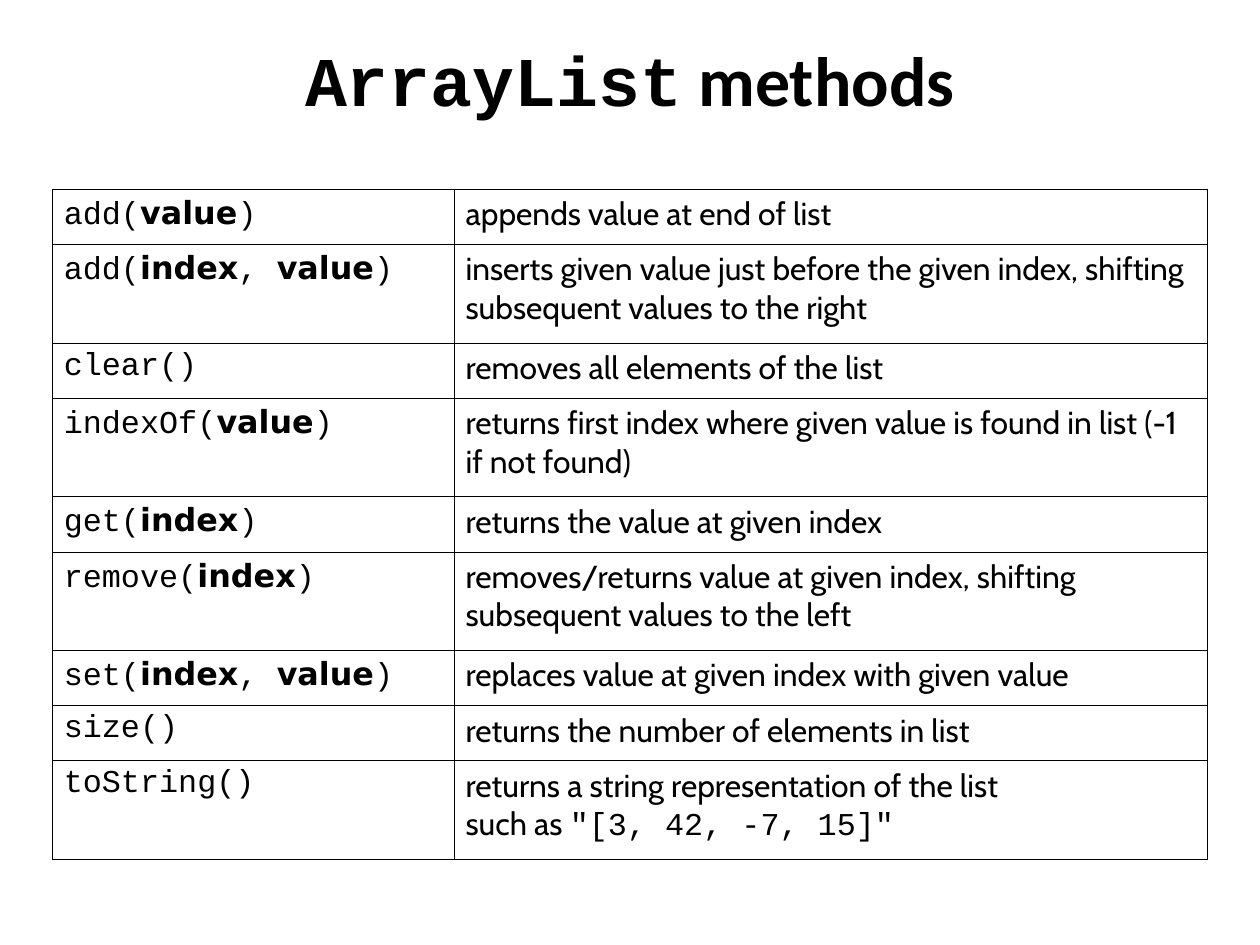
import lxml.etree
import pptx
import pptx.dml.color
import pptx.enum.text
import pptx.oxml.ns
import pptx.util

Pt = pptx.util.Pt
BLACK = pptx.dml.color.RGBColor(0, 0, 0)
WHITE = pptx.dml.color.RGBColor(255, 255, 255)

# Method name, parameters, description lines of (text, style) runs
METHODS = [
    ("add", ["value"], [[("appends value at end of list", "prose")]]),
    ("add", ["index", "value"], [[("inserts given value just before the given index, "
                                   "shifting subsequent values to the right", "prose")]]),
    ("clear", [], [[("removes all elements of the list", "prose")]]),
    ("indexOf", ["value"], [[("returns first index where given value is found in list "
                              "(-1 if not found)", "prose")]]),
    ("get", ["index"], [[("returns the value at given index", "prose")]]),
    ("remove", ["index"], [[("removes/returns value at given index, "
                             "shifting subsequent values to the left", "prose")]]),
    ("set", ["index", "value"], [[("replaces value at given index with given value", "prose")]]),
    ("size", [], [[("returns the number of elements in list", "prose")]]),
    ("toString", [], [
        [("returns a string representation of the list", "prose")],
        [("such as ", "prose"), ('"[3, 42, -7, 15]"', "code")],
    ]),
]
TITLE = [("ArrayList", "title code"), (" methods", "title")]

STYLES = {
    "title code": {"name": "Courier New", "size": Pt(44), "bold": True},
    "title": {"name": "Calibri", "size": Pt(44), "bold": True},
    "code": {"name": "Courier New", "size": Pt(20), "bold": False},
    "parameter": {"name": "DejaVu Sans", "size": Pt(20), "bold": True},
    "prose": {"name": "Cabin", "size": Pt(20), "bold": False},
}

SLIDE_SIZE = (793.7, 595.28)
TITLE_BOX = (39.7, 0, 714.2, 99.4)
TABLE_LEFT, TABLE_TOP = 33, 119.1
COLUMN_WIDTHS = (253.1, 474.4)
ONE_LINE, TWO_LINES = 34.8, 62.1
TWO_LINE_ROWS = {1, 3, 5, 8}
BORDER_WIDTH = 0.45


def signature(method, parameters):
    if not parameters:
        return [(method + "()", "code")]
    runs = []
    for opening, parameter in zip([method + "("] + [", "] * len(parameters), parameters):
        runs += [(opening, "code"), (parameter, "parameter")]
    return runs + [(")", "code")]


def write(text_frame, lines):
    for number, runs in enumerate(lines):
        paragraph = text_frame.add_paragraph() if number else text_frame.paragraphs[0]
        for text, style in runs:
            run = paragraph.add_run()
            run.text = text
            run.font.color.rgb = BLACK
            for attribute, value in STYLES[style].items():
                setattr(run.font, attribute, value)


def add_borders(cell):
    properties = cell._tc.get_or_add_tcPr()
    qn = pptx.oxml.ns.qn
    for position, side in enumerate(("a:lnL", "a:lnR", "a:lnT", "a:lnB")):
        line = lxml.etree.Element(qn(side), w=str(Pt(BORDER_WIDTH)))
        fill = lxml.etree.SubElement(line, qn("a:solidFill"))
        lxml.etree.SubElement(fill, qn("a:srgbClr"), val=str(BLACK))
        properties.insert(position, line)


def add_title(slide):
    text_frame = slide.shapes.add_textbox(*map(Pt, TITLE_BOX)).text_frame
    text_frame.word_wrap = True
    text_frame.vertical_anchor = pptx.enum.text.MSO_ANCHOR.MIDDLE
    write(text_frame, [TITLE])
    text_frame.paragraphs[0].alignment = pptx.enum.text.PP_ALIGN.CENTER


def add_method_table(slide):
    heights = [TWO_LINES if row in TWO_LINE_ROWS else ONE_LINE for row in range(len(METHODS))]
    table = slide.shapes.add_table(
        len(METHODS), len(COLUMN_WIDTHS), Pt(TABLE_LEFT), Pt(TABLE_TOP),
        Pt(sum(COLUMN_WIDTHS)), Pt(sum(heights))).table
    table.first_row = table.horz_banding = False
    for column, width in zip(table.columns, COLUMN_WIDTHS):
        column.width = Pt(width)
    for row, height, (method, parameters, description) in zip(table.rows, heights, METHODS):
        row.height = Pt(height)
        for cell, lines in zip(row.cells, ([signature(method, parameters)], description)):
            cell.fill.solid()
            cell.fill.fore_color.rgb = WHITE
            add_borders(cell)
            write(cell.text_frame, lines)


def main():
    presentation = pptx.Presentation()
    presentation.slide_width, presentation.slide_height = map(Pt, SLIDE_SIZE)
    slide = presentation.slides.add_slide(presentation.slide_layouts[6])
    add_title(slide)
    add_method_table(slide)
    presentation.save("out.pptx")


if __name__ == "__main__":
    main()
